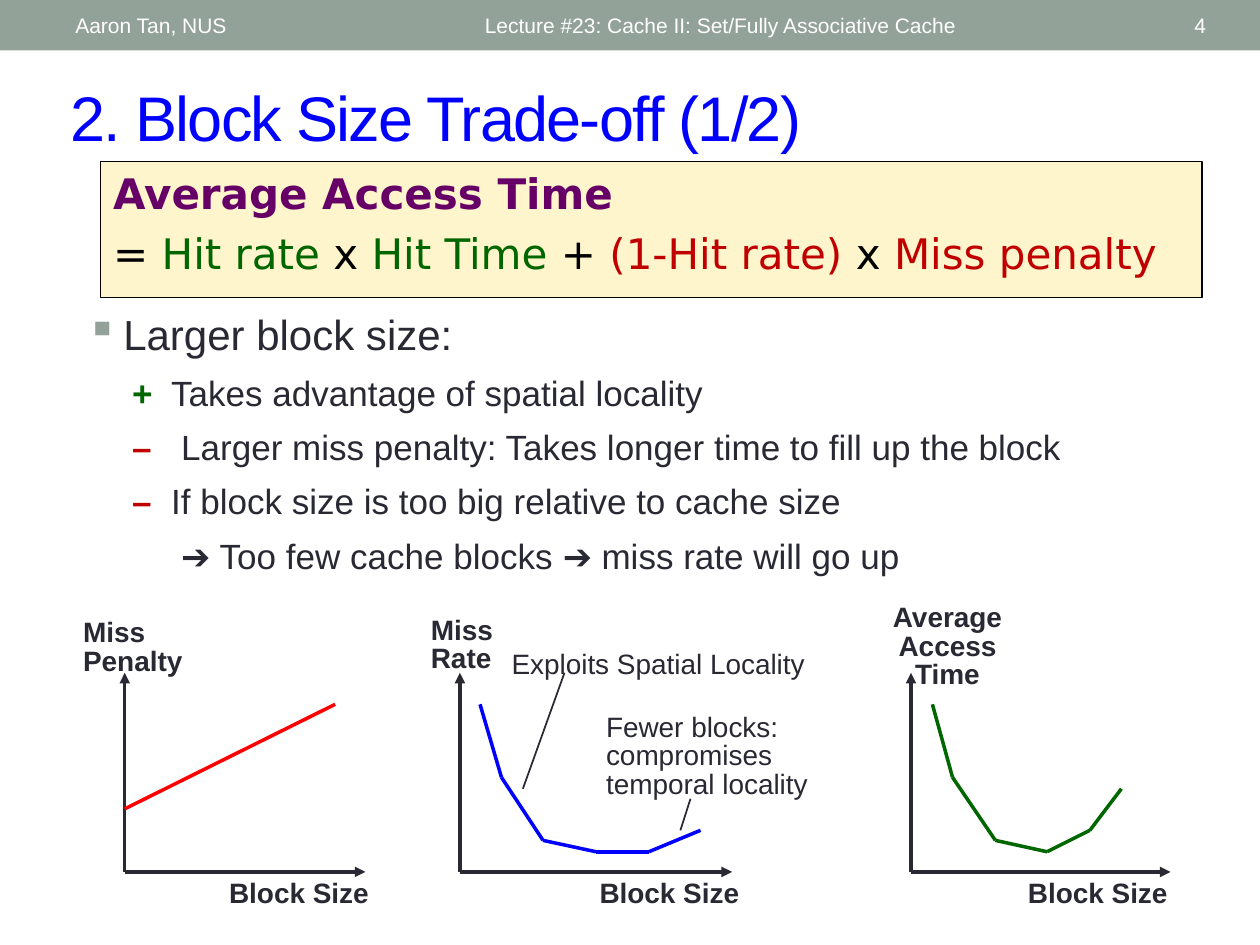
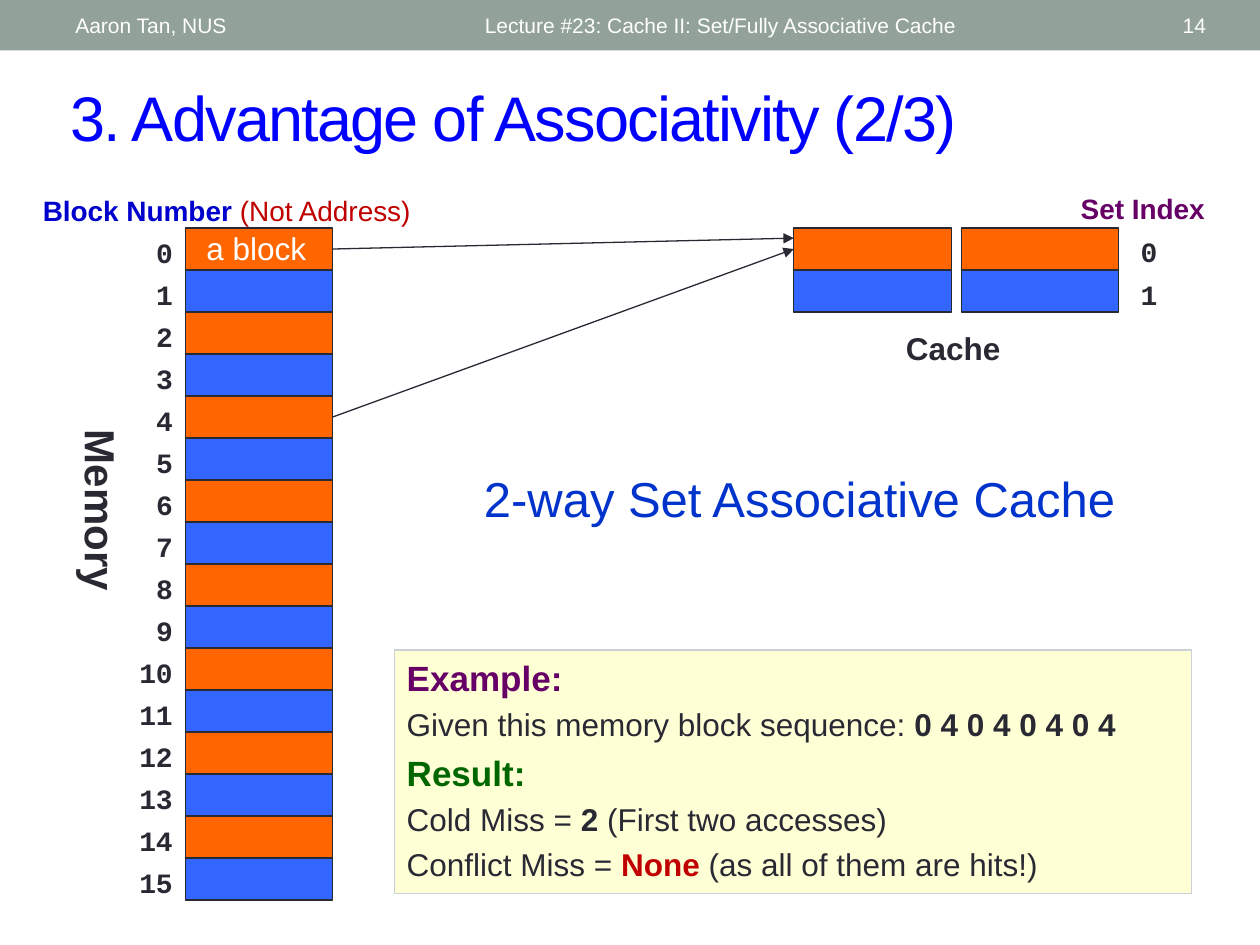
from dataclasses import dataclass
from itertools import pairwise

from lxml import etree
from pptx import Presentation
from pptx.dml.color import RGBColor
from pptx.enum.shapes import MSO_CONNECTOR, MSO_SHAPE
from pptx.enum.text import MSO_ANCHOR, MSO_AUTO_SIZE, PP_ALIGN
from pptx.oxml.ns import qn
from pptx.util import Inches, Pt

STRAIGHT = MSO_CONNECTOR.STRAIGHT
RECTANGLE = MSO_SHAPE.RECTANGLE
TOP, MIDDLE = MSO_ANCHOR.TOP, MSO_ANCHOR.MIDDLE
LEFT, CENTER, RIGHT = PP_ALIGN.LEFT, PP_ALIGN.CENTER, PP_ALIGN.RIGHT
NO_AUTOFIT = MSO_AUTO_SIZE.NONE
LEFT_SIDE, RIGHT_SIDE = 1, 3


@dataclass(frozen=True)
class Theme:
    sans: str = "Arial"
    mono: str = "Courier New"
    wide: str = "DejaVu Sans"
    ink: str = "292934"
    black: str = "000000"
    white: str = "FFFFFF"
    sage: str = "93A299"
    blue: str = "0000FF"
    navy: str = "0000CC"
    caption_blue: str = "0033CC"
    purple: str = "660066"
    green: str = "006600"
    crimson: str = "C00000"
    red: str = "FF0000"
    orange: str = "FF6600"
    block_blue: str = "3366FF"
    cream: str = "FFF5CC"
    lemon: str = "FFFFCC"
    pale_grey: str = "CCD1D9"
    title: int = 36
    caption: int = 28
    heading: int = 24
    body: int = 20
    detail: int = 18
    label: int = 16
    header: int = 12


THEME = Theme()


@dataclass
class Para:
    runs: list
    size: int = THEME.label
    font: str = THEME.sans
    align: int = LEFT
    before: float = 0
    line_spacing: float = 1
    margin: float = 0
    indent: float = 0
    bullet: str = ""


def plain(text, size=THEME.label, color=THEME.ink, bold=False, **style):
    return Para([(text, color, bold)], size, **style)


def tight(text, bold=True, **style):
    return [plain(line, bold=bold, line_spacing=0.85, **style) for line in text.split("\n")]


class Deck:
    def __init__(self, theme):
        self.theme = theme
        self.file = Presentation()
        self.file.slide_width, self.file.slide_height = Inches(10), Inches(7.5)
        self.slide = None

    def new_slide(self, title, number):
        t = self.theme
        self.slide = self.file.slides.add_slide(self.file.slide_layouts[5])
        self.box(0, 0, 10, 0.4, t.sage)
        heading = self.slide.shapes.title
        heading.left, heading.top = Inches(0.46), Inches(0.57)
        heading.width, heading.height = Inches(9.2), Inches(0.7)
        self.fill_text(heading, [plain(title, t.title, t.blue)], anchor=MIDDLE)
        heading.text_frame.paragraphs[0].runs[0].font._element.set("spc", "-100")
        headers = [
            ("Lecture #23: Cache II: Set/Fully Associative Cache", 3.75, 4.5, LEFT),
            ("Aaron Tan, NUS", 0.5, 3.17, LEFT),
            (number, 8.72, 0.95, RIGHT),
        ]
        for text, x, width, align in headers:
            header = plain(text, t.header, t.white, align=align)
            self.text(x, 0.02, width, 0.36, [header], wrap=True, anchor=MIDDLE)

    def fill_text(self, shape, paras, wrap=True, anchor=TOP, insets=(0.1, 0.05)):
        frame = shape.text_frame
        frame.auto_size = NO_AUTOFIT
        frame.word_wrap = wrap
        frame.vertical_anchor = anchor
        frame.margin_left = frame.margin_right = Inches(insets[0])
        frame.margin_top = frame.margin_bottom = Inches(insets[1])
        for i, para in enumerate(paras):
            line = frame.add_paragraph() if i else frame.paragraphs[0]
            line.alignment = para.align
            line.line_spacing = para.line_spacing
            line.space_before = Pt(para.before)
            props = line._p.get_or_add_pPr()
            props.set("marL", str(Inches(para.margin)))
            props.set("indent", str(Inches(para.indent)))
            if para.bullet:
                tint = etree.SubElement(props, qn("a:buClr"))
                etree.SubElement(tint, qn("a:srgbClr"), val=self.theme.sage)
                etree.SubElement(props, qn("a:buChar"), char=para.bullet)
            for text, color, bold in para.runs:
                run = line.add_run()
                run.text = text
                run.font.name = para.font
                run.font.size = Pt(para.size)
                run.font.bold = bold
                run.font.color.rgb = RGBColor.from_string(color)

    def text(self, x, y, width, height, paras, wrap=False, anchor=TOP, insets=(0.1, 0.05)):
        area = self.slide.shapes.add_textbox(Inches(x), Inches(y), Inches(width), Inches(height))
        self.fill_text(area, paras, wrap, anchor, insets)

    def tight_text(self, x, y, width, height, paras):
        self.text(x, y, width, height, paras, insets=(0.07, 0.03))

    def box(self, x, y, width, height, fill, line=None, opacity=100):
        shape = self.slide.shapes.add_shape(
            RECTANGLE, Inches(x), Inches(y), Inches(width), Inches(height))
        shape.shadow.inherit = False
        shape.fill.solid()
        shape.fill.fore_color.rgb = RGBColor.from_string(fill)
        if opacity < 100:
            tint = shape._element.spPr.find(qn("a:solidFill"))[0]
            etree.SubElement(tint, qn("a:alpha"), val=str(opacity * 1000))
        if line:
            shape.line.color.rgb = RGBColor.from_string(line)
            shape.line.width = Pt(0.75)
        else:
            shape.line.fill.background()
        return shape

    def line(self, start, end, color, weight, arrow=False):
        link = self.slide.shapes.add_connector(STRAIGHT, *map(Inches, start + end))
        link.line.color.rgb = RGBColor.from_string(color)
        link.line.width = Pt(weight)
        props = link._element.spPr
        if arrow:
            etree.SubElement(props.find(qn("a:ln")), qn("a:tailEnd"), type="triangle")
        etree.SubElement(props, qn("a:effectLst"))
        return link

    def curve(self, points, color):
        for start, end in pairwise(points):
            self.line(start, end, color, 2)

    def axes(self, x, right, label_x):
        origin = (x, 6.92)
        for tip in ((x, 5.34), (right, 6.92)):
            self.line(origin, tip, self.theme.ink, 2, arrow=True)
        self.text(label_x, 6.9, 1.32, 0.37, [plain("Block Size", bold=True)])

    def blocks(self, x, width, count):
        colors = (self.theme.orange, self.theme.block_blue)
        return [self.box(x, 1.81 + i / 3, width, 1 / 3, colors[i % 2], self.theme.ink)
                for i in range(count)]


def trade_off_slide(deck):
    t = deck.theme
    deck.new_slide("2. Block Size Trade-off (1/2)", "4")

    def point(sign, color, text, margin=0.67):
        return Para([(sign, color, True), ("\t" + text, t.ink, False)], t.body,
                    before=7, margin=margin, indent=0.36 - margin)

    deck.text(0.59, 2.4, 8.5, 2.21, [
        plain("Larger block size:", t.heading, before=6, margin=0.29, indent=-0.29, bullet="▪"),
        point("+", t.green, "Takes advantage of spatial locality"),
        point("–", t.crimson, "Larger miss penalty: Takes longer time to fill up the block", 0.75),
        point("–", t.crimson, "If block size is too big relative to cache size"),
        plain("➔ Too few cache blocks ➔ miss rate will go up", t.body, before=7, margin=0.75),
    ], wrap=True)

    deck.axes(0.99, 2.9, 1.72)
    deck.tight_text(0.59, 4.89, 0.93, 0.51, tight("Miss\nPenalty"))
    deck.curve([(0.99, 6.42), (2.66, 5.59)], t.red)

    deck.axes(3.65, 5.81, 4.66)
    deck.tight_text(3.35, 4.87, 0.63, 0.51, tight("Miss\nRate"))
    deck.curve([(3.81, 5.59), (3.98, 6.17), (4.31, 6.67), (4.73, 6.76),
                (5.15, 6.76), (5.56, 6.59)], t.blue)
    deck.line((4.15, 6.26), (4.48, 5.34), t.ink, 1)
    deck.tight_text(3.99, 5.14, 2.47, 0.28, tight("Exploits Spatial Locality", bold=False))
    deck.line((5.4, 6.59), (5.48, 6.34), t.ink, 1)
    deck.tight_text(4.74, 5.64, 1.74, 0.74,
                    tight("Fewer blocks:\ncompromises\ntemporal locality", bold=False))

    deck.axes(7.23, 9.29, 8.06)
    deck.tight_text(7.01, 4.77, 1.02, 0.74, tight("Average\nAccess\nTime", align=CENTER))
    deck.curve([(7.4, 5.59), (7.56, 6.17), (7.9, 6.67), (8.31, 6.76),
                (8.65, 6.59), (8.9, 6.26)], t.green)

    formula = deck.box(0.8, 1.28, 8.74, 1.08, t.cream, t.black)
    terms = [("= ", t.black), ("Hit rate", t.green), (" x ", t.black), ("Hit Time ", t.green),
             ("+ ", t.black), ("(1-Hit rate) ", t.crimson), ("x ", t.black),
             ("Miss penalty", t.crimson)]
    deck.fill_text(formula, [
        plain("Average Access Time", t.heading, t.purple, True, font=t.wide, before=5.5),
        Para([(text, color, False) for text, color in terms], t.heading, t.wide, before=5.5),
    ])


def associativity_slide(deck):
    t = deck.theme
    deck.new_slide("3. Advantage of Associativity (2/3)", "14")

    memory = deck.blocks(1.47, 1.17, 16)
    first_way, _ = [deck.blocks(x, 1.25, 2) for x in (6.3, 7.63)]
    for number in range(16):
        deck.text(0.89, 1.82 + number / 3, 0.58, 0.37,
                  [plain(str(number), bold=True, font=t.mono, align=RIGHT)])
    for index in range(2):
        deck.text(8.95, 1.81 + index * 0.34, 0.34, 0.37,
                  [plain(str(index), bold=True, font=t.mono, align=CENTER)])
    deck.text(1.54, 1.77, 1, 0.4, [plain("a block", t.detail, t.white)], wrap=True)

    to_cache = deck.line((2.64, 1.98), (6.3, 1.89), t.ink, 0.75, arrow=True)
    to_cache.begin_connect(memory[0], RIGHT_SIDE)
    to_same_set = deck.line((2.64, 3.31), (6.3, 1.98), t.ink, 0.75, arrow=True)
    to_same_set.begin_connect(memory[4], RIGHT_SIDE)
    to_same_set.end_connect(first_way[0], LEFT_SIDE)

    deck.text(0.22, 1.49, 3.22, 0.37, [
        Para([("Block Number ", t.navy, True), ("(Not Address) ", t.crimson, False)],
             align=CENTER)])
    deck.text(8.47, 1.47, 1.2, 0.37,
              [plain("Set Index", color=t.purple, bold=True, align=CENTER)])
    deck.text(6.96, 2.56, 1.21, 0.5, [plain("Cache", t.detail, bold=True, align=CENTER)])
    deck.text(3.63, 3.67, 5.43, 0.57,
              [plain("2-way Set Associative Cache", t.caption, t.caption_blue, align=CENTER)],
              wrap=True)
    memory_name = deck.box(0.06, 3.8, 1.49, 0.5, t.white, opacity=70)
    memory_name.rotation = 90
    deck.fill_text(memory_name, [plain("Memory", t.heading, bold=True, align=CENTER)], wrap=False)

    def detail(*runs):
        return Para(list(runs), t.detail, before=4)

    example = deck.box(3.13, 5.16, 6.33, 1.93, t.lemon, t.pale_grey, opacity=80)
    deck.fill_text(example, [
        plain("Example:", t.body, t.purple, True, before=4.5),
        detail(("Given this memory block sequence: ", t.ink, False),
               ("0 4 0 4 0 4 0 4", t.ink, True)),
        plain("Result:", t.body, t.green, True, before=4.5),
        detail(("Cold Miss = ", t.ink, False), ("2", t.ink, True),
               (" (First two accesses)", t.ink, False)),
        detail(("Conflict Miss = ", t.ink, False), ("None ", t.crimson, True),
               ("(as all of them are hits!)", t.ink, False)),
    ])


def main():
    deck = Deck(THEME)
    trade_off_slide(deck)
    associativity_slide(deck)
    deck.file.save("out.pptx")


if __name__ == "__main__":
    main()
